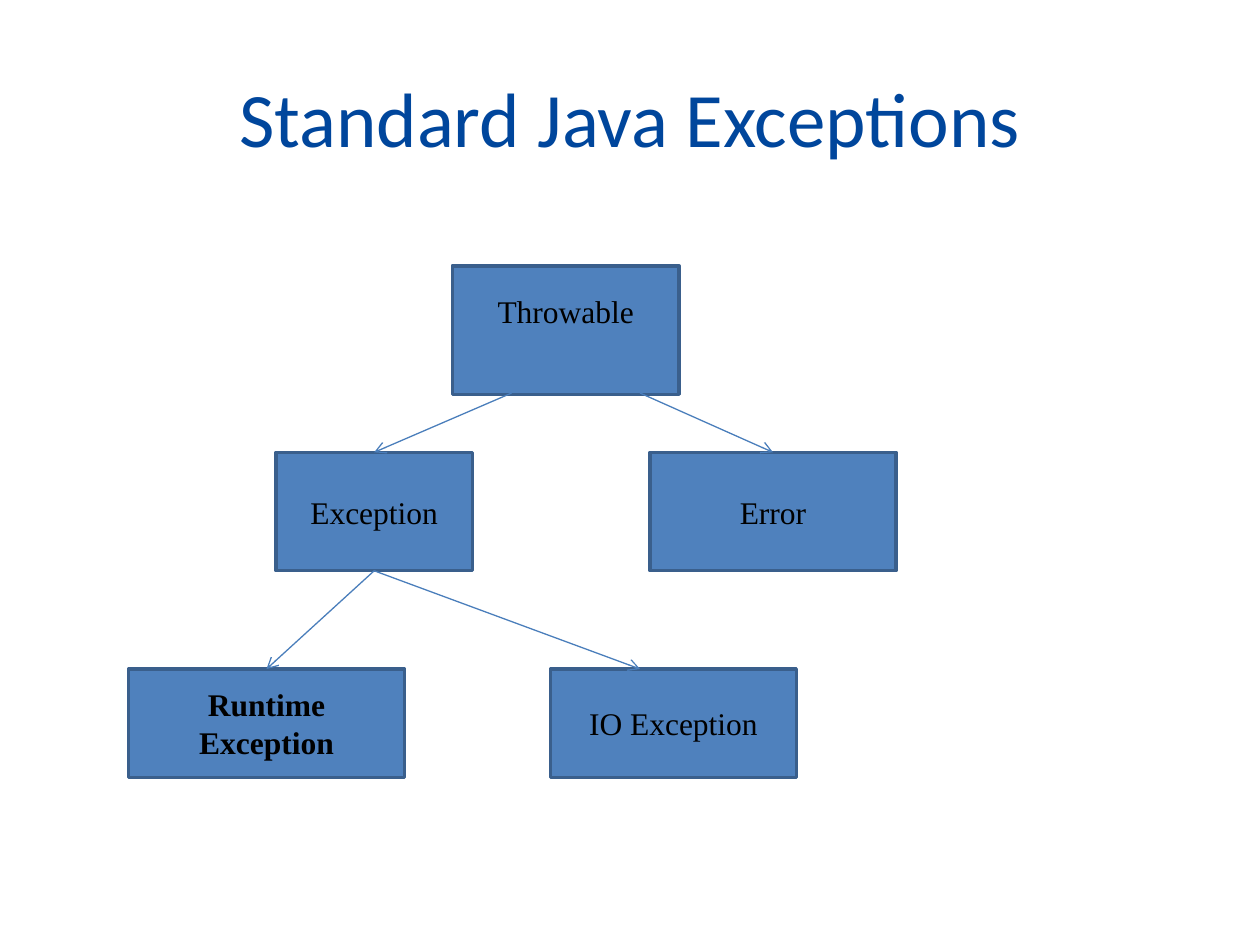
import pptx
import pptx.util
import pptx.dml.color
import pptx.enum.shapes
import pptx.enum.text
import pptx.oxml
import pptx.oxml.ns
from pptx.util import Inches, Pt

RGBColor = pptx.dml.color.RGBColor
TITLE_BLUE = RGBColor(0x00, 0x46, 0x9C)
BOX_FILL = RGBColor(0x4F, 0x81, 0xBD)
BOX_EDGE = RGBColor(0x3A, 0x5F, 0x8C)
ARROW_BLUE = RGBColor(0x4A, 0x7E, 0xBB)
BLACK = RGBColor(0, 0, 0)
TOP, BOTTOM = 0, 2

TITLE = "Standard Java Exceptions"
# text, left, top, width, height, bold
CLASSES = [
    ("Throwable", 3.59, 2.11, 1.80, 1.02, False),
    ("Exception", 2.19, 3.59, 1.56, 0.94, False),
    ("Error", 5.16, 3.59, 1.95, 0.94, False),
    ("Runtime\nException", 1.02, 5.31, 2.19, 0.86, True),
    ("IO Exception", 4.37, 5.31, 1.95, 0.86, False),
]
# parent, child, start point, end point, start joined, end joined
ARROWS = [
    ("Throwable", "Exception", (4.06, 3.12), (2.97, 3.59), False, True),
    ("Throwable", "Error", (5.08, 3.12), (6.13, 3.59), False, True),
    ("Exception", "Runtime\nException", (2.97, 4.53), (2.11, 5.31), True, True),
    ("Exception", "IO Exception", (2.97, 4.53), (5.08, 5.31), True, False),
]


def write_text(shape, text, font, size, color, bold=False):
    frame = shape.text_frame
    frame.word_wrap = True
    frame.vertical_anchor = pptx.enum.text.MSO_ANCHOR.MIDDLE
    frame.text = text
    for paragraph in frame.paragraphs:
        paragraph.alignment = pptx.enum.text.PP_ALIGN.CENTER
        for span in paragraph.runs:
            span.font.name = font
            span.font.size = Pt(size)
            span.font.bold = bold
            span.font.color.rgb = color


def add_class_box(page, text, left, top, width, height, bold):
    box = page.shapes.add_shape(
        pptx.enum.shapes.MSO_SHAPE.RECTANGLE,
        Inches(left), Inches(top), Inches(width), Inches(height))
    box.shadow.inherit = False
    box.fill.solid()
    box.fill.fore_color.rgb = BOX_FILL
    box.line.color.rgb = BOX_EDGE
    box.line.width = Pt(2)
    write_text(box, text, "Times New Roman", 18, BLACK, bold)
    return box


def add_arrow(page, start, end):
    arrow = page.shapes.add_connector(
        pptx.enum.shapes.MSO_CONNECTOR.STRAIGHT,
        *(Inches(value) for value in start + end))
    arrow.line.color.rgb = ARROW_BLUE
    arrow.line.width = Pt(0.75)
    namespace = pptx.oxml.ns.nsdecls("a")
    arrow.line._get_or_add_ln().append(
        pptx.oxml.parse_xml(f'<a:tailEnd {namespace} type="arrow"/>'))
    arrow._element.spPr.append(pptx.oxml.parse_xml(f"<a:effectLst {namespace}/>"))
    return arrow


def main():
    deck = pptx.Presentation()
    deck.slide_width, deck.slide_height = Inches(10), Inches(7.5)
    page = deck.slides.add_slide(deck.slide_layouts[6])

    title = page.shapes.add_textbox(Inches(0.5), Inches(0.3), Inches(9), Inches(1.25))
    write_text(title, TITLE, "Calibri", 44, TITLE_BLUE)

    boxes = {row[0]: add_class_box(page, *row) for row in CLASSES}
    # The root label sits half a line above the middle.
    boxes["Throwable"].text_frame.margin_bottom = Inches(0.35)

    for parent, child, start, end, start_joined, end_joined in ARROWS:
        arrow = add_arrow(page, start, end)
        if start_joined:
            arrow.begin_connect(boxes[parent], BOTTOM)
        if end_joined:
            arrow.end_connect(boxes[child], TOP)

    deck.save("out.pptx")


if __name__ == "__main__":
    main()
